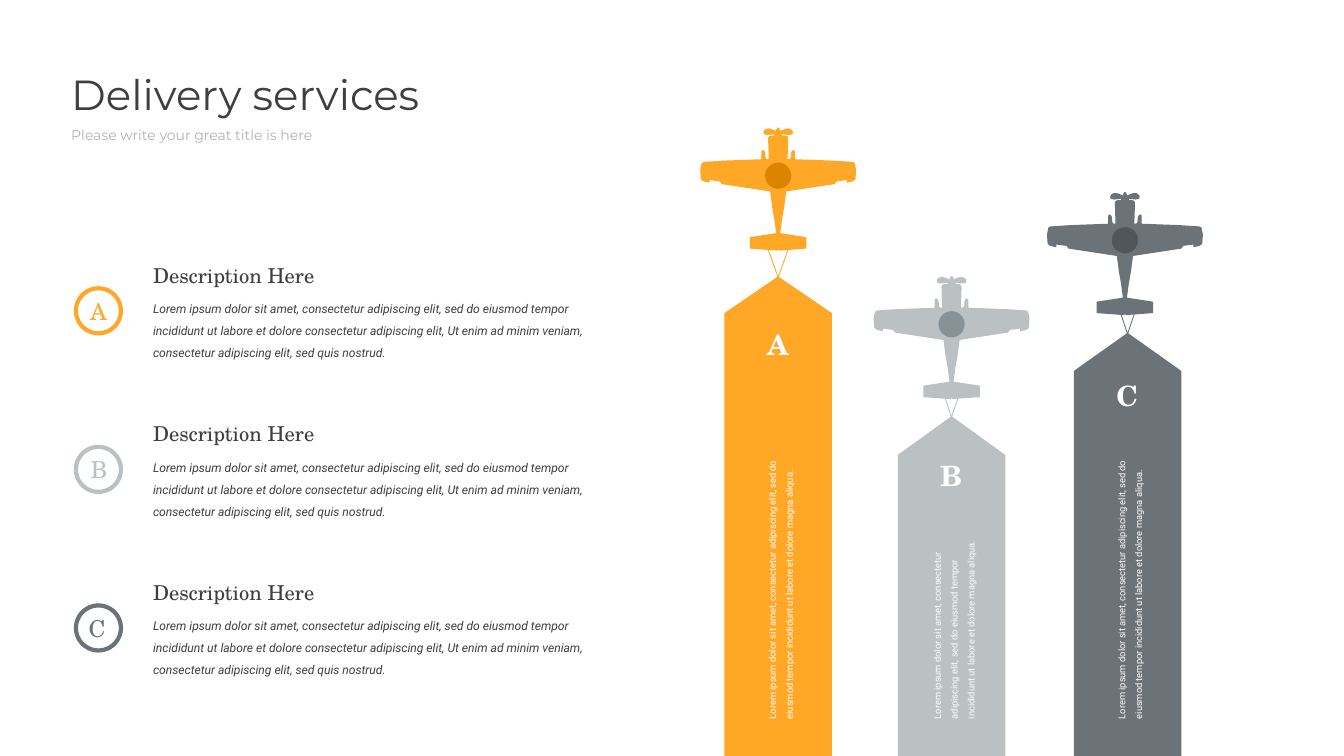
from pptx import Presentation
from pptx.dml.color import RGBColor
from pptx.enum.shapes import MSO_SHAPE
from pptx.enum.text import MSO_ANCHOR, MSO_AUTO_SIZE, PP_ALIGN
from pptx.util import Inches, Pt

SLIDE_W, SLIDE_H = 20, 11.25
COLORS = {
    "ink": "3F3F3F", "muted": "B2B2B2", "white": "FFFFFF",
    "orange": "FFA827", "orange_dark": "DC8400",
    "silver": "BBC0C3", "silver_dark": "889196",
    "slate": "6B7278", "slate_dark": "50565A",
}
SERIF, SANS, DISPLAY = "TeX Gyre Schola", "Roboto", "Montserrat"

TITLE = "Delivery services"
SUBTITLE = "Please write your great title is here"
HEADING = "Description Here"
DESCRIPTION = (
    "Lorem ipsum dolor sit amet, consectetur adipiscing elit, sed do eiusmod "
    "tempor incididunt ut labore et dolore consectetur adipiscing elit, Ut enim "
    "ad minim veniam, consectetur adipiscing elit, sed quis nostrud."
)
BANNER_TEXT = (
    "Lorem ipsum dolor sit amet, consectetur adipiscing elit, sed do eiusmod "
    "tempor incididunt ut labore et dolore magna aliqua."
)

# Heights down the slide, text_size is the length and depth of the upright text
SERVICES = [
    {"letter": "A", "color": "orange", "plane_top": 1.90, "banner_x": 11.58,
     "rope_top": 3.69, "apex": 4.12, "shoulder": 4.66, "letter_top": 4.82,
     "text_size": (4.44, 0.61), "ring_letter_x": 1.22},
    {"letter": "B", "color": "silver", "plane_top": 4.11, "banner_x": 14.16,
     "rope_top": 5.74, "apex": 6.20, "shoulder": 6.77, "letter_top": 6.77,
     "text_size": (3.02, 0.86), "ring_letter_x": 1.23},
    {"letter": "C", "color": "slate", "plane_top": 2.86, "banner_x": 16.78,
     "rope_top": 4.50, "apex": 4.96, "shoulder": 5.52, "letter_top": 5.58,
     "text_size": (4.15, 0.61), "ring_letter_x": 1.20},
]
PLANE_X, PLANE_STEP = 11.58, 2.58
ROW_TOP, ROW_STEP = 3.86, 2.36
TEXT_LEFT, TEXT_BOTTOM = 2.18, 10.8
RING_LEFT, RING_SIZE, HUB_SIZE = 1.13, 0.67, 0.39
BANNER_HALF = 0.8

# Right half of the plane, from nose to tail: (from the axis, from the top)
HALF_PLANE = [
    (0.01, 0), (0.02, 0.02), (0.03, 0.03), (0.03, 0.05),
    (0.10, 0.02), (0.15, 0.01), (0.18, 0.02), (0.21, 0.04), (0.22, 0.07),
    (0.21, 0.10), (0.16, 0.11), (0.06, 0.10), (0.06, 0.12),
    (0.11, 0.12), (0.14, 0.13), (0.15, 0.16), (0.14, 0.47), (0.17, 0.47),
    (0.19, 0.44), (0.19, 0.39), (0.20, 0.35), (0.23, 0.33), (0.25, 0.35),
    (0.25, 0.47), (0.80, 0.49), (1.11, 0.51), (1.14, 0.53), (1.16, 0.63),
    (1.15, 0.77), (1.11, 0.80), (1.02, 0.82), (1.02, 0.78), (0.87, 0.80),
    (0.84, 0.84), (0.12, 0.95), (0.09, 1.18), (0.06, 1.35), (0.03, 1.57),
    (0.42, 1.63), (0.42, 1.80), (0.01, 1.83), (0.01, 1.82),
]


def rgb(name):
    return RGBColor.from_string(COLORS[name])


def box(left, top, width, height):
    return [Inches(v) for v in (left, top, width, height)]


def write(shape, text, size, font, color, align=PP_ALIGN.LEFT, spacing=1.0,
          bold=False, italic=False):
    frame = shape.text_frame
    frame.word_wrap = True
    frame.auto_size = MSO_AUTO_SIZE.NONE
    frame.vertical_anchor = MSO_ANCHOR.TOP
    paragraph = frame.paragraphs[0]
    paragraph.alignment = align
    paragraph.line_spacing = spacing
    paragraph.space_before = Pt(0)
    run = paragraph.add_run()
    run.text = text
    run.font.size = Pt(size)
    run.font.name = font
    run.font.bold = bold
    run.font.italic = italic
    run.font.color.rgb = rgb(color)


def add_text(slide, area, *args, **style):
    shape = slide.shapes.add_textbox(*box(*area))
    write(shape, *args, **style)
    return shape


def fill_placeholder(shape, area, *args):
    shape.left, shape.top, shape.width, shape.height = box(*area)
    write(shape, *args)


def paint(shape, color):
    shape.shadow.inherit = False
    shape.fill.solid()
    shape.fill.fore_color.rgb = rgb(color)
    shape.line.fill.background()


def add_symmetric(slide, center, top, half, color):
    """Draw a filled outline from its right half, mirrored about the axis."""
    points = half + [(-x, y) for x, y in reversed(half)]
    points = [(Inches(center + x), Inches(top + y)) for x, y in points]
    builder = slide.shapes.build_freeform(*points[0])
    builder.add_line_segments(points[1:], close=True)
    paint(builder.convert_to_shape(), color)


def add_plane(slide, center, service):
    top, color = service["plane_top"], service["color"]
    add_symmetric(slide, center, top, HALF_PLANE, color)
    hub = slide.shapes.add_shape(
        MSO_SHAPE.OVAL, *box(center - HUB_SIZE / 2, top + 0.52, HUB_SIZE, HUB_SIZE))
    paint(hub, color + "_dark")


def add_banner(slide, service):
    center, rope_top = service["banner_x"], service["rope_top"]
    apex, shoulder = service["apex"] - rope_top, service["shoulder"] - rope_top
    half = [(0, apex - 0.01), (0.15, 0), (0.16, 0.01), (0.01, apex),
            (BANNER_HALF, shoulder), (BANNER_HALF, SLIDE_H - rope_top)]
    add_symmetric(slide, center, rope_top, half, service["color"])
    add_text(slide, (center - 0.45, service["letter_top"], 0.89, 0.61),
             service["letter"], 30, SERIF, "white", align=PP_ALIGN.CENTER, bold=True)
    length, depth = service["text_size"]
    middle = TEXT_BOTTOM - length / 2
    upright = add_text(
        slide, (center - length / 2, middle - depth / 2, length, depth),
        BANNER_TEXT, 10, SANS, "white", spacing=1.5)
    upright.rotation = 270


def add_description(slide, top, service):
    ring = slide.shapes.add_shape(
        MSO_SHAPE.OVAL, *box(RING_LEFT, top + 0.43, RING_SIZE, RING_SIZE))
    ring.shadow.inherit = False
    ring.fill.background()
    ring.line.color.rgb = rgb(service["color"])
    ring.line.width = Pt(4.5)
    add_text(slide, (service["ring_letter_x"], top + 0.51, 0.49, 0.52),
             service["letter"], 25, SERIF, service["color"], align=PP_ALIGN.CENTER)
    add_text(slide, (TEXT_LEFT, top, 3.04, 0.47), HEADING, 22, SERIF, "ink")
    add_text(slide, (TEXT_LEFT, top + 0.47, 6.8, 1.09), DESCRIPTION, 13, SANS,
             "ink", spacing=1.5, italic=True)


def main():
    deck = Presentation()
    deck.slide_width, deck.slide_height = Inches(SLIDE_W), Inches(SLIDE_H)
    slide = deck.slides.add_slide(deck.slide_layouts[0])
    title, subtitle = slide.placeholders
    fill_placeholder(title, (0.96, 0.97, 6.3, 0.86), TITLE, 45, DISPLAY, "ink")
    fill_placeholder(subtitle, (0.96, 1.83, 4.62, 0.35), SUBTITLE, 15, DISPLAY, "muted")
    for i, service in enumerate(SERVICES):
        add_plane(slide, PLANE_X + i * PLANE_STEP, service)
        add_banner(slide, service)
        add_description(slide, ROW_TOP + i * ROW_STEP, service)
    deck.save("out.pptx")


if __name__ == "__main__":
    main()
